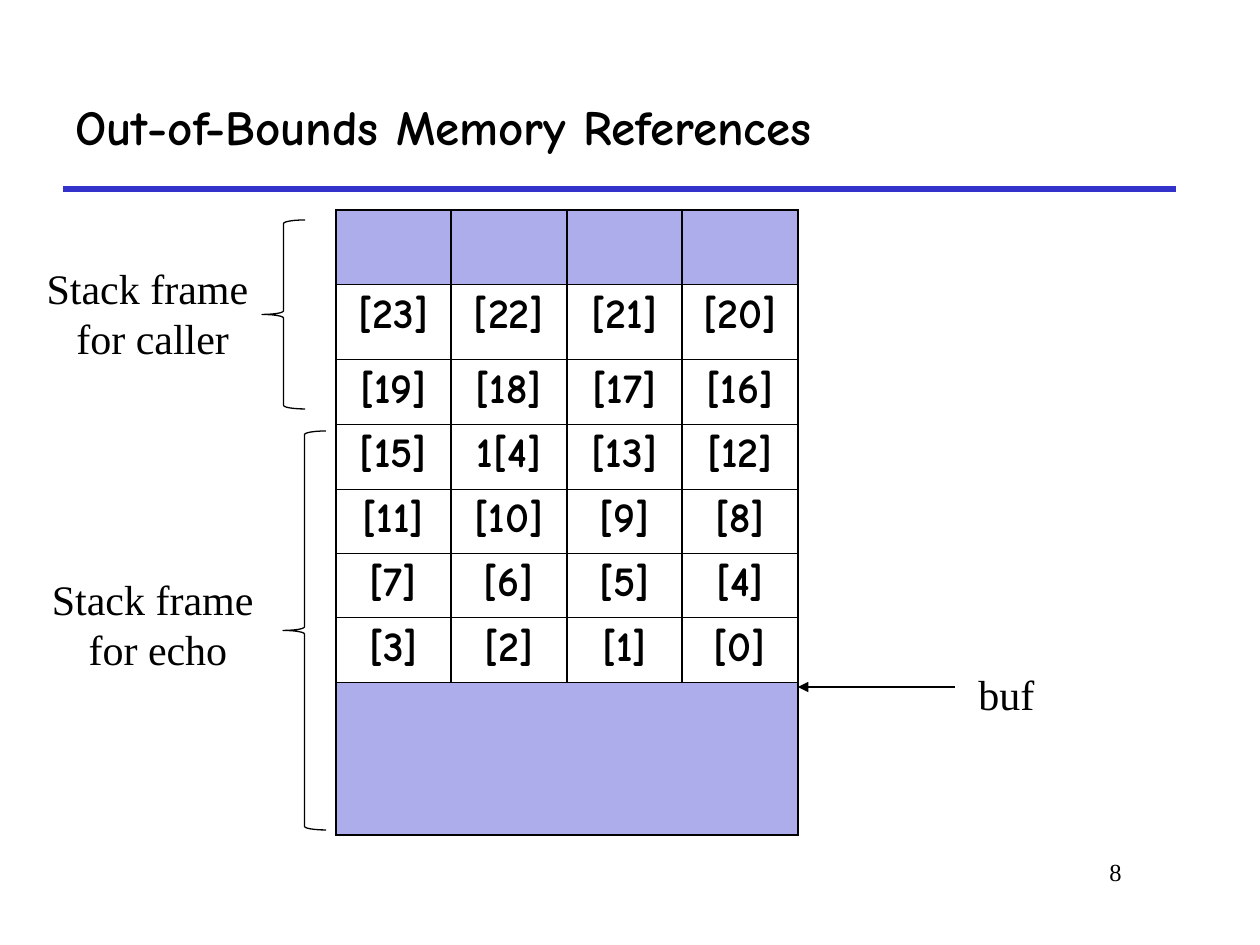
from dataclasses import dataclass

from lxml import etree
from pptx import Presentation
from pptx.dml.color import RGBColor
from pptx.enum.shapes import MSO_CONNECTOR, MSO_SHAPE
from pptx.enum.text import MSO_ANCHOR, PP_ALIGN
from pptx.oxml.ns import qn
from pptx.util import Pt

LEFT, MID, RIGHT = PP_ALIGN.LEFT, PP_ALIGN.CENTER, PP_ALIGN.RIGHT
TOP, CENTER = MSO_ANCHOR.TOP, MSO_ANCHOR.MIDDLE
STRAIGHT = MSO_CONNECTOR.STRAIGHT
BRACE = MSO_SHAPE.LEFT_BRACE
SCALE = 914400 / 126


@dataclass(frozen=True)
class Theme:
    ink: str = "000000"
    paper: str = "FFFFFF"
    rule: str = "3333CC"
    shade: str = "ADADEB"
    head: str = "Comic Neue"
    body: str = "Times New Roman"
    title: int = 28
    text: int = 24
    page: int = 14
    bold: float = 3
    line: float = 0.75
    side: float = 1.08
    thin: float = 0.45


THEME = Theme()
COLS = [115, 116, 115, 116]
ROWS = [74, 75, 65, 65, 64, 65, 65, 152]
BYTES = [
    ["[23]", "[22]", "[21]", "[20]"],
    ["[19]", "[18]", "[17]", "[16]"],
    ["[15]", "1[4]", "[13]", "[12]"],
    ["[11]", "[10]", "[9]", "[8]"],
    ["[7]", "[6]", "[5]", "[4]"],
    ["[3]", "[2]", "[1]", "[0]"],
]


def px(size):
    return round(size * SCALE)


def add_run(para, text, size, font, bold=False):
    run = para.add_run()
    run.text = text
    run.font.size = Pt(size)
    run.font.name = font
    run.font.bold = bold
    run.font.color.rgb = RGBColor.from_string(THEME.ink)


def add_text(slide, area, lines, size=THEME.text, font=THEME.body,
             align=LEFT, anchor=TOP, bold=False, wrap=True):
    frame = slide.shapes.add_textbox(*map(px, area)).text_frame
    frame.word_wrap = wrap
    frame.vertical_anchor = anchor
    for i, text in enumerate(lines):
        para = frame.add_paragraph() if i else frame.paragraphs[0]
        para.alignment = align
        add_run(para, text, size, font, bold)


def add_line(slide, ends, color, width, arrow=False):
    line = slide.shapes.add_connector(STRAIGHT, *map(px, ends))
    line.line.color.rgb = RGBColor.from_string(color)
    line.line.width = Pt(width)
    if arrow:
        tip = etree.SubElement(line.line._get_or_add_ln(), qn("a:tailEnd"))
        tip.set("type", "triangle")
    etree.SubElement(line._element.spPr, qn("a:effectLst"))


def add_brace(slide, area):
    brace = slide.shapes.add_shape(BRACE, *map(px, area))
    brace.shadow.inherit = False
    brace.fill.background()
    brace.line.color.rgb = RGBColor.from_string(THEME.ink)
    brace.line.width = Pt(THEME.line)


def set_edge(cell, side, width):
    props = cell._tc.get_or_add_tcPr()
    edge = etree.SubElement(props, qn(f"a:ln{side}"), w=str(Pt(width)))
    fill = etree.SubElement(edge, qn("a:solidFill"))
    etree.SubElement(fill, qn("a:srgbClr"), val=THEME.ink)


def style_cell(cell, row):
    last = len(ROWS) - 1
    set_edge(cell, "L", THEME.side)
    set_edge(cell, "R", THEME.side)
    set_edge(cell, "T", THEME.thin if row else THEME.side)
    set_edge(cell, "B", THEME.side if row == last else THEME.thin)
    color = THEME.shade if row in (0, last) else THEME.paper
    cell.fill.solid()
    cell.fill.fore_color.rgb = RGBColor.from_string(color)


def add_stack(slide, left, top):
    area = left, top, sum(COLS), sum(ROWS)
    table = slide.shapes.add_table(len(ROWS), len(COLS), *map(px, area)).table
    table.first_row = False
    table.horz_banding = False
    for col, width in zip(table.columns, COLS):
        col.width = px(width)
    for r, height in enumerate(ROWS):
        table.rows[r].height = px(height)
        for c in range(len(COLS)):
            style_cell(table.cell(r, c), r)
    for r, row in enumerate(BYTES, 1):
        for c, text in enumerate(row):
            para = table.cell(r, c).text_frame.paragraphs[0]
            para.alignment = MID
            add_run(para, text, THEME.text, THEME.head, True)
    end = len(ROWS) - 1
    table.cell(end, 0).merge(table.cell(end, len(COLS) - 1))


def main():
    deck = Presentation()
    deck.slide_width, deck.slide_height = px(1260), px(945)
    slide = deck.slides.add_slide(deck.slide_layouts[6])
    add_line(slide, (63, 189, 1176, 189), THEME.rule, THEME.bold)
    add_text(slide, (955, 851, 179, 63), ["8"], THEME.page, align=RIGHT)
    add_text(slide, (63, 63, 1144, 126), ["Out-of-Bounds Memory References"],
             THEME.title, THEME.head, anchor=CENTER, bold=True)
    add_stack(slide, 336, 210)
    add_line(slide, (955, 687, 798, 687), THEME.ink, THEME.line, True)
    add_text(slide, (966, 662, 81, 63), ["buf"], wrap=False)
    add_brace(slide, (262, 220, 43, 189))
    add_text(slide, (32, 256, 231, 113), ["Stack frame", " for caller"], align=MID)
    add_brace(slide, (283, 431, 43, 399))
    add_text(slide, (32, 567, 252, 113), ["Stack frame ", "for echo"], align=MID)
    deck.save("out.pptx")


if __name__ == "__main__":
    main()
